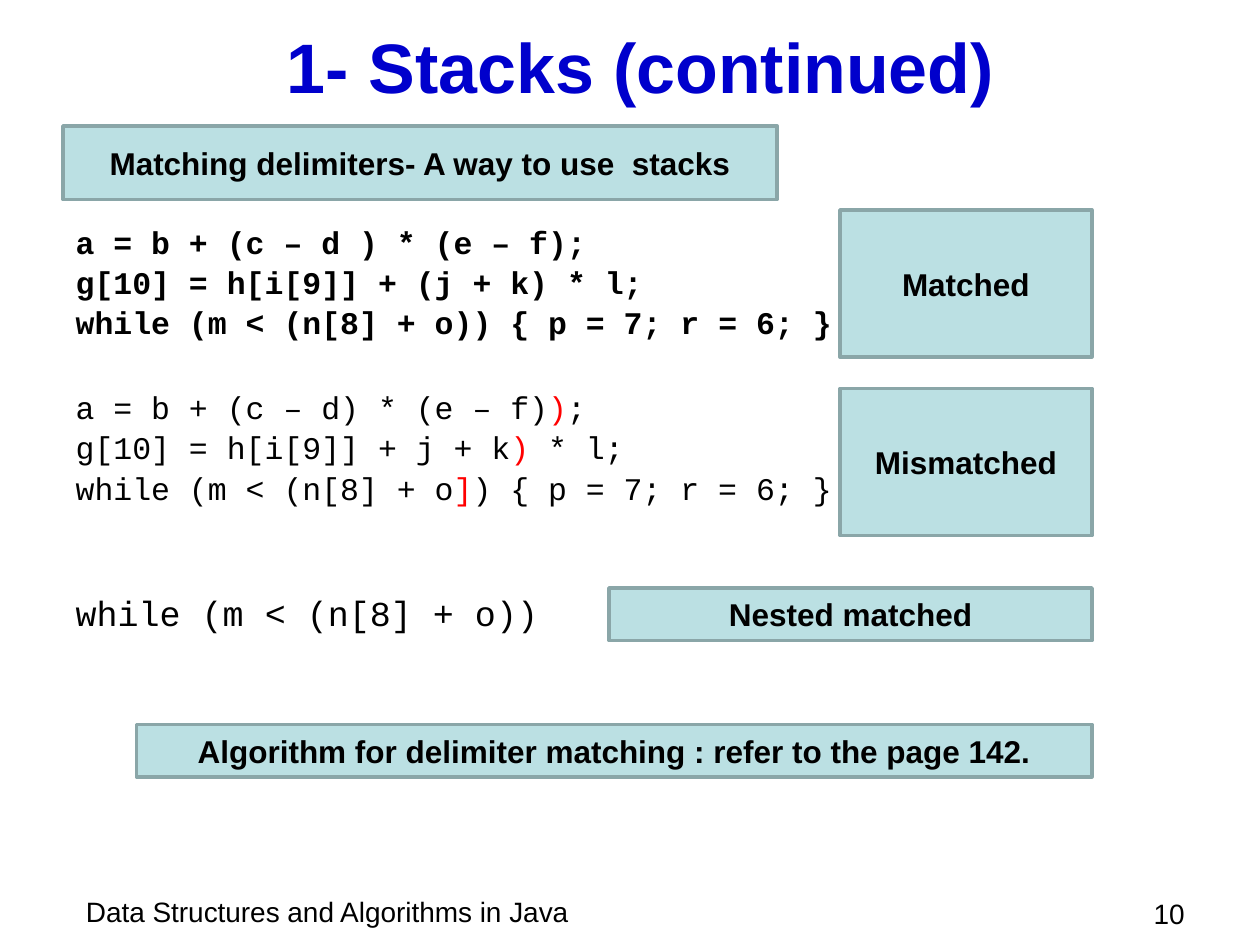
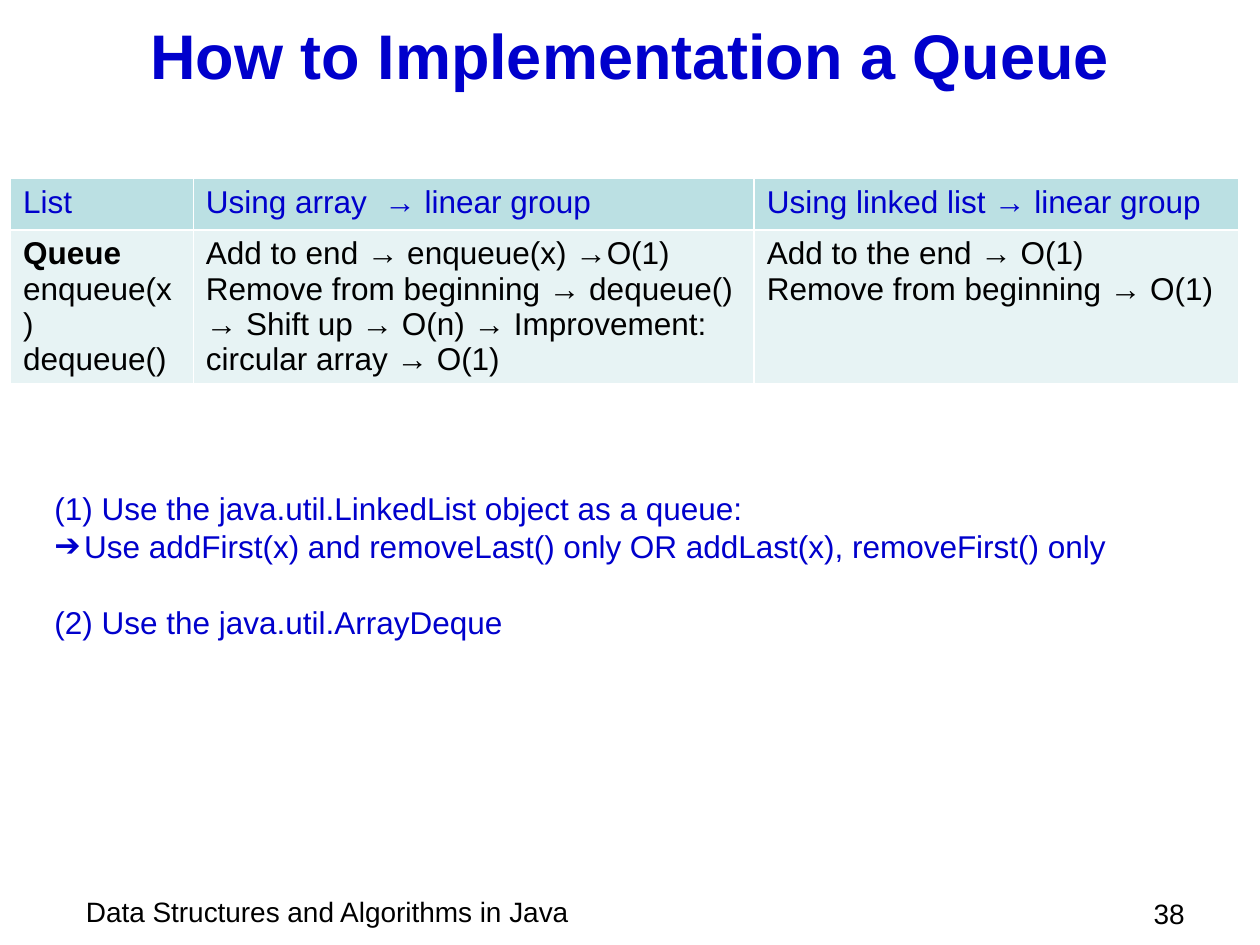
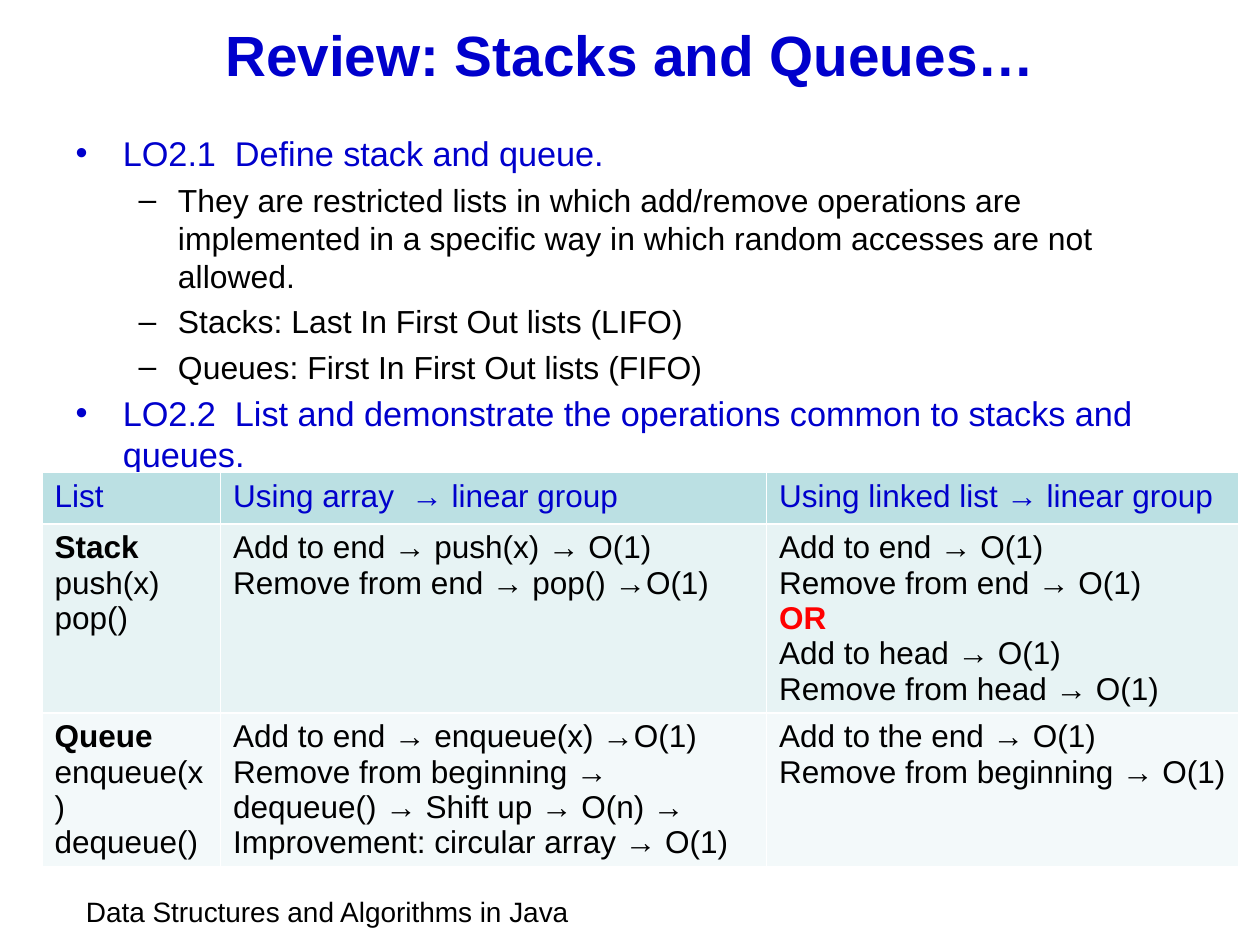
from dataclasses import dataclass, replace

from lxml.etree import SubElement
from pptx import Presentation
from pptx.dml.color import RGBColor
from pptx.enum.shapes import MSO_SHAPE as SHAPE
from pptx.enum.text import MSO_ANCHOR as ANCHOR, MSO_AUTO_SIZE as AUTO_SIZE, PP_ALIGN as ALIGN
from pptx.oxml.ns import qn
from pptx.util import Pt


@dataclass(frozen=True)
class Theme:
    blue: str = "0000CC"
    black: str = "000000"
    red: str = "FF0000"
    white: str = "FFFFFF"
    panel: str = "BBE0E3"
    panel_edge: str = "8AA6A8"
    bands: tuple = ("E7F3F4", "F3F9FA")
    sans: str = "Arial"
    mono: str = "Courier New"
    small: float = 16
    text: float = 18
    code_large: float = 20
    topic: float = 19.6
    detail: float = 18.2


THEME = Theme()


@dataclass(frozen=True)
class Style:
    size: float = THEME.text
    color: str = THEME.black
    bold: bool = False
    font: str = THEME.sans


@dataclass(frozen=True)
class Para:
    runs: tuple  # (text, style) pairs
    align: ALIGN = ALIGN.LEFT
    before: float = 0
    line: float = 1
    level: int = 0
    margin: float = 0
    hang: float = 0
    bullet: str = ""


PLAIN = Style()
BOLD = Style(bold=True)
BLUE = Style(color=THEME.blue)
SMALL = Style(size=THEME.small)
CODE = Style(font=THEME.mono)
ERROR = replace(CODE, color=THEME.red)


# Shared text and shape helpers
def rgb(value):
    return RGBColor.from_string(value)


def write(frame, paras, anchor=ANCHOR.TOP):
    frame.word_wrap = True
    frame.auto_size = AUTO_SIZE.NONE
    frame.vertical_anchor = anchor
    fill_paragraphs(frame, paras)


def fill_paragraphs(frame, paras):
    for index, para in enumerate(paras):
        paragraph = frame.add_paragraph() if index else frame.paragraphs[0]
        paragraph.alignment = para.align
        paragraph.level = para.level
        paragraph.line_spacing = para.line
        paragraph.space_before = Pt(para.before)
        props = paragraph._p.get_or_add_pPr()
        props.set("marL", str(Pt(para.margin)))
        props.set("indent", str(Pt(-para.hang)))
        if para.bullet:
            SubElement(props, qn("a:buFont")).set("typeface", THEME.sans)
            SubElement(props, qn("a:buChar")).set("char", para.bullet)
        else:
            SubElement(props, qn("a:buNone"))
        for text, style in para.runs:
            run = paragraph.add_run()
            run.text = text
            font = run.font
            font.name, font.size, font.bold = style.font, Pt(style.size), style.bold
            font.color.rgb = rgb(style.color)


def place(shape, box):
    shape.left, shape.top, shape.width, shape.height = map(Pt, box)
    return shape


def text_box(slide, box, paras):
    write(slide.shapes.add_textbox(*map(Pt, box)).text_frame, paras)


def panel(slide, box, label):
    shape = slide.shapes.add_shape(SHAPE.RECTANGLE, *map(Pt, box))
    shape.shadow.inherit = False
    shape.fill.solid()
    shape.fill.fore_color.rgb = rgb(THEME.panel)
    shape.line.color.rgb = rgb(THEME.panel_edge)
    shape.line.width = Pt(2)
    write(shape.text_frame, [Para(((label, BOLD),), ALIGN.CENTER)], ANCHOR.MIDDLE)


# Title, footer and page number
def start_slide(prs, layout, title, size, title_box=(36, 6, 648, 50), page=None):
    slide = prs.slides.add_slide(prs.slide_layouts.get_by_name(layout))
    heading = place(slide.shapes.title, title_box)
    style = Style(size, THEME.blue, True)
    write(heading.text_frame, [Para(((title, style),), ALIGN.CENTER)], ANCHOR.MIDDLE)
    text_box(slide, (42, 507.5, 408, 27),
             [Para((("Data Structures and Algorithms in Java", SMALL),))])
    if page:
        text_box(slide, (636, 508.5, 48, 25), [Para(((str(page), SMALL),), ALIGN.RIGHT)])
    return slide


# Comparison table
def cell_borders(cell):
    props = cell._tc.get_or_add_tcPr()
    for side in "LRTB":
        line = SubElement(props, qn(f"a:ln{side}"), w=str(Pt(1)))
        fill = SubElement(line, qn("a:solidFill"))
        SubElement(fill, qn("a:srgbClr"), val=THEME.white)


def comparison_table(slide, left, top, widths, rows, heights):
    header = [[("List", BLUE)], [("Using array  → linear group", BLUE)],
              [("Using linked list → linear group", BLUE)]]
    rows, heights = [header, *rows], [29.5, *heights]
    table = slide.shapes.add_table(len(rows), len(widths), Pt(left), Pt(top),
                                   Pt(sum(widths)), Pt(sum(heights))).table
    table.first_row = table.horz_banding = False
    for column, width in zip(table.columns, widths):
        column.width = Pt(width)
    fills = (THEME.panel, *THEME.bands)
    for r, (cells, height) in enumerate(zip(rows, heights)):
        table.rows[r].height = Pt(height)
        for c, lines in enumerate(cells):
            cell = table.cell(r, c)
            cell_borders(cell)
            cell.fill.solid()
            cell.fill.fore_color.rgb = rgb(fills[r])
            fill_paragraphs(cell.text_frame, [Para((line,)) for line in lines])


def plain(*lines):
    return [(line, PLAIN) for line in lines]


def operations(name, *calls):
    return [(name, BOLD), *plain(*calls)]


STACK_ROW = [
    operations("Stack", "push(x)", "pop()"),
    plain("Add to end → push(x) → O(1)", "Remove from end → pop() →O(1)"),
    [*plain("Add to end → O(1)", "Remove from end → O(1)"),
     ("OR", Style(color=THEME.red, bold=True)),
     *plain("Add to head → O(1)", "Remove from head → O(1)")],
]
QUEUE_ROW = [
    operations("Queue", "enqueue(x)", "dequeue()"),
    plain("Add to end → enqueue(x) →O(1)",
          "Remove from beginning → dequeue() → Shift up → O(n) → "
          "Improvement: circular array → O(1)"),
    plain("Add to the end → O(1)", "Remove from beginning → O(1)"),
]


# Slide: matching delimiters
def code_listing(body, box):
    matched = replace(CODE, bold=True)
    line_gap = 3.6
    groups = [
        (4.5, [(("a = b + (c – d ) * (e – f);", matched),),
               (("g[10] = h[i[9]] + (j + k) * l;", matched),),
               (("while (m < (n[8] + o)) { p = 7; r = 6; }", matched),)]),
        (29, [(("a = b + (c – d) * (e – f)", CODE), (")", ERROR), (";", CODE)),
              (("g[10] = h[i[9]] + j + k", CODE), (")", ERROR), (" * l;", CODE)),
              (("while (m < (n[8] + o", CODE), ("]", ERROR),
               (") { p = 7; r = 6; }", CODE))]),
        (51, [(("while (m < (n[8] + o))", replace(CODE, size=THEME.code_large)),)]),
    ]
    paras = [Para(runs, before=line_gap if i else gap, line=0.9)
             for gap, lines in groups for i, runs in enumerate(lines)]
    write(place(body, box).text_frame, paras)


def delimiters_slide(prs):
    slide = start_slide(prs, "Title and Content", "1- Stacks (continued)", 40,
                        (42, 12.5, 648, 50), page=10)
    code_listing(slide.placeholders[1], (36, 126, 468, 356))
    right = 624
    panel(slide, (36, 72, 408, 42), "Matching delimiters- A way to use  stacks")
    for label, top, width, height in (
            ("Matched", 120, 144, 84),
            ("Mismatched", 222, 144, 84),
            ("Nested matched", 336, 276, 30),
            ("Algorithm for delimiter matching : refer to the page 142.", 414, 546, 30)):
        panel(slide, (right - width, top, width, height), label)


# Slide: queue implementation
def queue_slide(prs):
    slide = start_slide(prs, "Title Only", "How to Implementation a Queue", 36, page=38)
    comparison_table(slide, 6, 102, (104.5, 320.5, 277), [QUEUE_ROW], [88])
    text_box(slide, (24, 276, 666, 94.5), [
        Para((("(1) Use the java.util.LinkedList object as a queue:", BLUE),)),
        Para((("Use addFirst(x) and removeLast() only OR addLast(x), removeFirst() only",
               BLUE),), margin=17, hang=17, bullet="➔"),
        Para((("(2) Use the java.util.ArrayDeque", BLUE),), before=21.75),
    ])


# Slide: review
def review_list(body, box):
    topic = Para((), before=4, margin=27, hang=27, bullet="•")
    detail = replace(topic, level=1, margin=58.5, hang=22.5, bullet="–")
    topic_style = Style(THEME.topic, THEME.blue)
    detail_style = Style(THEME.detail)
    entries = [
        (topic, topic_style, "LO2.1  Define stack and queue."),
        (detail, detail_style, "They are restricted lists in which add/remove operations are "
                               "implemented in a specific way in which random accesses are "
                               "not allowed."),
        (detail, detail_style, "Stacks: Last In First Out lists (LIFO)"),
        (detail, detail_style, "Queues: First In First Out lists (FIFO)"),
        (topic, topic_style, "LO2.2  List and demonstrate the operations common to stacks "
                             "and queues."),
    ]
    paras = [replace(para, runs=((text, style),), before=para.before if i else 0)
             for i, (para, style, text) in enumerate(entries)]
    write(place(body, box).text_frame, paras)


def review_slide(prs):
    slide = start_slide(prs, "Title and Content", "Review: Stacks and Queues…", 32.4)
    review_list(slide.placeholders[1], (36, 72, 648, 186))
    comparison_table(slide, 24, 270, (102, 312, 270), [STACK_ROW, QUEUE_ROW], [108, 88])


def main():
    prs = Presentation()
    prs.slide_width, prs.slide_height = Pt(720), Pt(540)
    delimiters_slide(prs)
    queue_slide(prs)
    review_slide(prs)
    prs.save("out.pptx")


if __name__ == "__main__":
    main()
